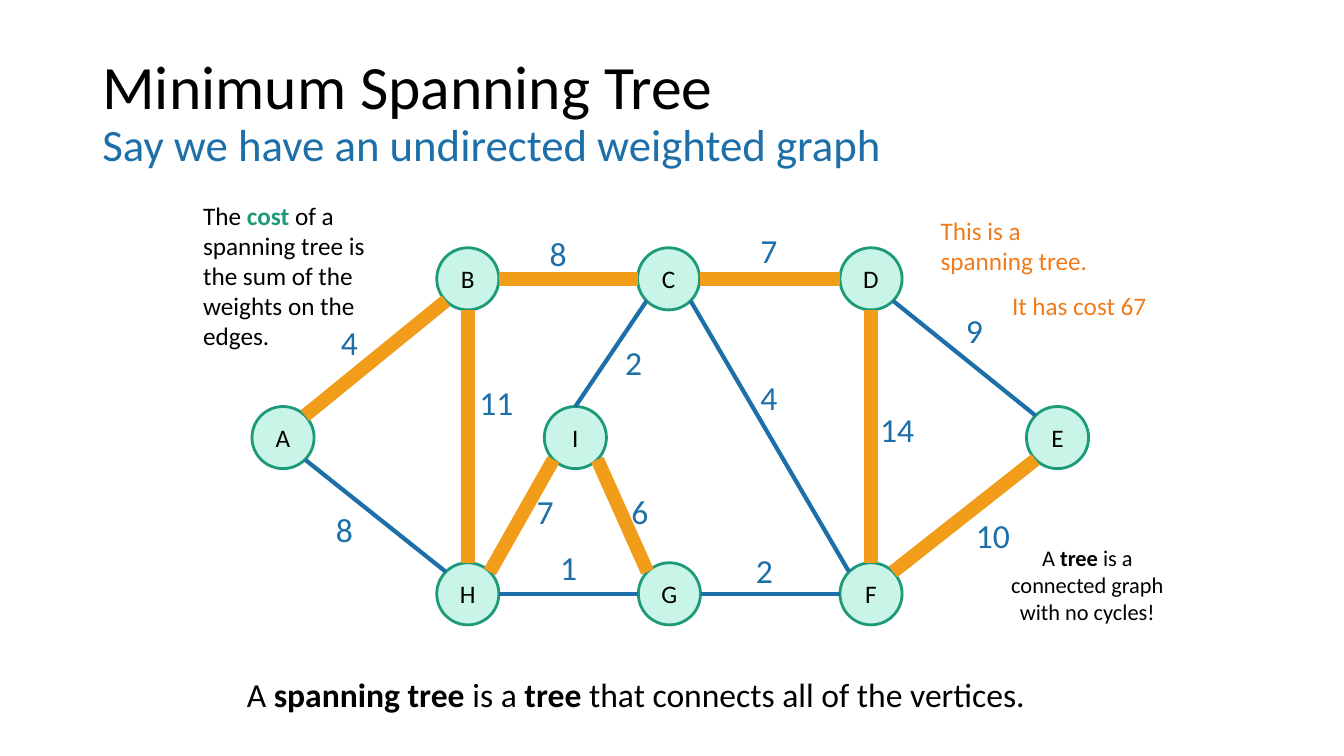
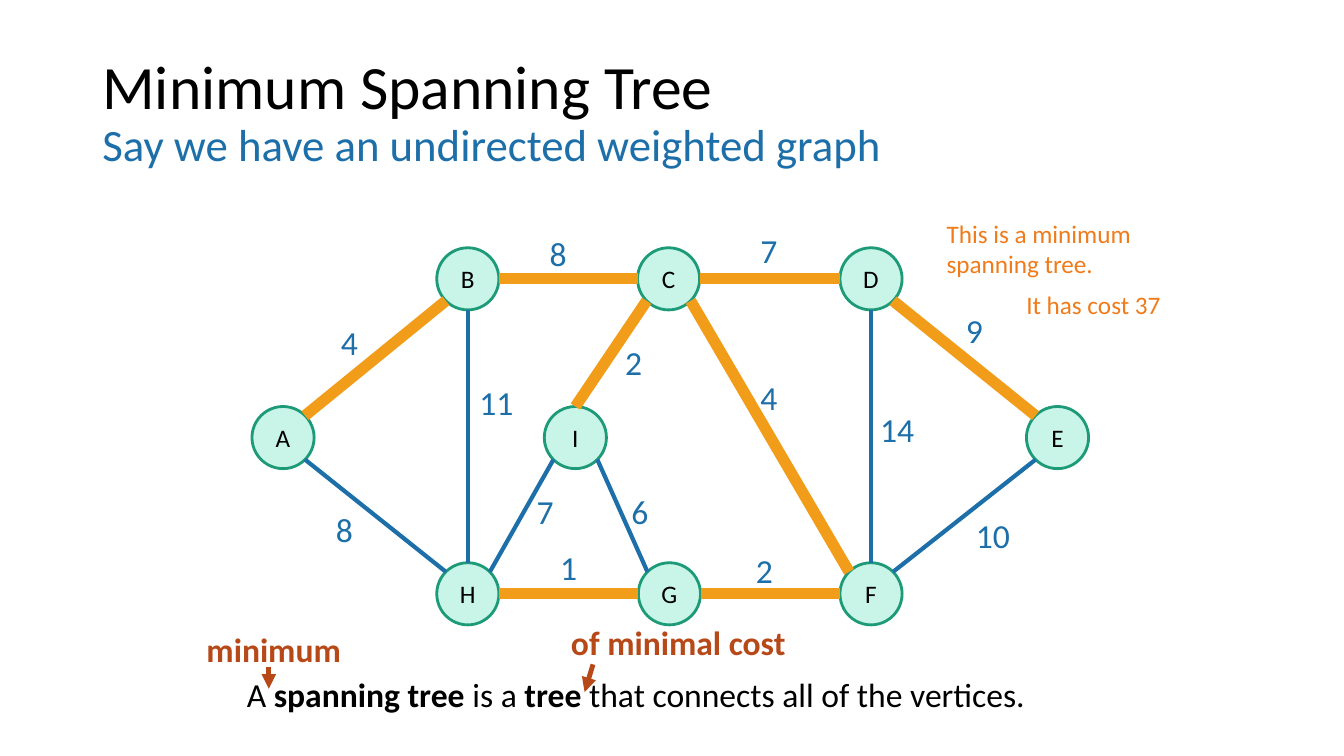
from math import cos, radians, sin

from lxml import etree
from pptx import Presentation
from pptx.dml.color import RGBColor
from pptx.enum.shapes import MSO_CONNECTOR, MSO_SHAPE
from pptx.enum.text import MSO_ANCHOR, MSO_AUTO_SIZE, PP_ALIGN
from pptx.oxml.ns import qn
from pptx.util import Inches, Pt

STRAIGHT, OVAL = MSO_CONNECTOR.STRAIGHT, MSO_SHAPE.OVAL
MIDDLE, TOP = MSO_ANCHOR.MIDDLE, MSO_ANCHOR.TOP
LEFT, CENTER = PP_ALIGN.LEFT, PP_ALIGN.CENTER
FIT_SHAPE = MSO_AUTO_SIZE.SHAPE_TO_FIT_TEXT

FONT = "Calibri"
BLACK, BLUE, ORANGE = "000000", "1D6FA9", "F07B1A"
GREEN, MINT, AMBER, RUST = "1D9A78", "C8F5E8", "F19D19", "B74919"

# All lengths are in cells of a 16 x 9 grid.
COLUMNS, ROWS = 16, 9
CELL = 13.333 / COLUMNS

RADIUS = 0.37
UPPER, MID, LOWER = 3.32, 5.21, 7.07
NODES = {
    "D": (10.37, UPPER), "C": (7.96, UPPER), "B": (5.57, UPPER),
    "A": (3.37, MID), "H": (5.57, LOWER), "G": (7.97, LOWER),
    "F": (10.37, LOWER), "I": (6.85, MID), "E": (12.59, MID),
}
# Sites of an oval, anticlockwise from the top.
N, NW, W, SW, S, SE, E, NE = range(8)
# Edge: (site at first node, site at second node, weight, label offset from middle)
EDGES = {
    "CF": (SE, NW, 4, (-0.23, -0.77)),
    "CD": (E, W, 7, (-0.23, -0.64)),
    "ED": (NW, SE, 9, (-0.1, -0.64)),
    "EF": (SW, NE, 10, (0.02, -0.07)),
    "DF": (S, N, 14, (-0.01, -0.38)),
    "IG": (SE, NW, 6, (-0.01, -0.36)),
    "GF": (E, W, 2, (-0.29, -0.58)),
    "IC": (N, SW, 2, (-0.08, -0.25)),
    "BC": (E, W, 8, (-0.34, -0.61)),
    "AB": (NE, SW, 4, (-0.53, -0.49)),
    "AH": (SE, NW, 8, (-0.59, -0.14)),
    "GH": (W, E, 1, (-0.22, -0.62)),
    "IH": (SW, NE, 7, (0.06, -0.35)),
    "HB": (N, S, 11, (0.02, -0.71)),
}


def cells(*values):
    return [Inches(v * CELL) for v in values]


def rgb(color):
    return RGBColor.from_string(color)


def style(font, size, color, bold=False):
    font.name, font.size, font.bold = FONT, Pt(size), bold
    font.color.rgb = rgb(color)


def add_text(slide, box, text, size, color=BLACK, align=LEFT, bold_color=None):
    """Add a text box; words between asterisks are bold."""
    tf = slide.shapes.add_textbox(*cells(*box)).text_frame
    tf.word_wrap, tf.auto_size = True, FIT_SHAPE
    tf.vertical_anchor = TOP
    p = tf.paragraphs[0]
    p.alignment = align
    for i, part in enumerate(text.split("*")):
        if part:
            bold = i % 2 == 1
            r = p.add_run()
            r.text = part
            style(r.font, size, bold_color if bold and bold_color else color, bold)


def add_title(slide, title, subtitle):
    tf = slide.shapes.add_textbox(*cells(1.1, 0.48, 13.8, 1.74)).text_frame
    tf.word_wrap, tf.vertical_anchor = True, MIDDLE
    p = tf.paragraphs[0]
    p.text = f"{title}\v{subtitle}"
    p.line_spacing = 0.9
    for r, size, color in zip(p.runs, (44, 32), (BLACK, BLUE)):
        style(r.font, size, color)


def add_line(slide, start, end, color, width):
    line = slide.shapes.add_connector(STRAIGHT, *cells(*start, *end))
    line.line.color.rgb, line.line.width = rgb(color), Pt(width)
    etree.SubElement(line._element.spPr, qn("a:effectLst"))
    return line


def add_arrow(slide, start, end):
    arrow = add_line(slide, start, end, RUST, 3.5)
    etree.SubElement(arrow.line._get_or_add_ln(), qn("a:tailEnd"), type="triangle")


def add_node(slide, name):
    x, y = NODES[name]
    sp = slide.shapes.add_shape(
        OVAL, *cells(x - RADIUS, y - RADIUS, 2 * RADIUS, 2 * RADIUS))
    sp.shadow.inherit = False
    sp.fill.solid()
    sp.fill.fore_color.rgb = rgb(MINT)
    sp.line.color.rgb, sp.line.width = rgb(GREEN), Pt(2)
    tf = sp.text_frame
    tf.text, tf.vertical_anchor = name, MIDDLE
    p = tf.paragraphs[0]
    p.alignment = CENTER
    style(p.runs[0].font, 18, BLACK)
    return sp


def site_point(name, site):
    x, y = NODES[name]
    angle = radians(90 + 45 * site)
    return x + RADIUS * cos(angle), y - RADIUS * sin(angle)


def add_edge(slide, ovals, edge, color, width):
    """Draw an edge glued to its two nodes, which python-pptx offers only for four sites."""
    sites = EDGES[edge][:2]
    start, end = map(site_point, edge, sites)
    line = add_line(slide, start, end, color, width)
    glue = line._element.find(".//" + qn("p:cNvCxnSpPr"))
    for tag, name, site in zip(("a:stCxn", "a:endCxn"), edge, sites):
        etree.SubElement(glue, qn(tag), id=str(ovals[name].shape_id), idx=str(site))


def add_weight(slide, edge):
    (x1, y1), (x2, y2) = (NODES[name] for name in edge)
    weight, (dx, dy) = EDGES[edge][2:]
    box = ((x1 + x2) / 2 + dx, (y1 + y2) / 2 + dy, 1.03, 0.6)
    add_text(slide, box, str(weight), 24, BLUE)


def add_graph_slide(prs, tree, tree_width):
    """Add a slide with the title, the graph with its tree edges marked, and the definition."""
    slide = prs.slides.add_slide(prs.slide_layouts[6])
    add_title(slide, "Minimum Spanning Tree",
              "Say we have an undirected weighted graph")
    ovals = {name: add_node(slide, name) for name in NODES}
    for edge in EDGES:
        color, width = (AMBER, tree_width) if edge in tree else (BLUE, 3)
        add_edge(slide, ovals, edge, color, width)
    for edge in EDGES:
        add_weight(slide, edge)
    add_text(slide, (2.82, 7.96, 10.6, 0.6),
             "A *spanning tree *is a *tree* that connects all of the vertices.", 24)
    return slide


def add_spanning_tree(prs):
    slide = add_graph_slide(
        prs, {"AB", "BC", "CD", "DF", "EF", "HB", "IH", "IG"}, 9.75)
    add_text(slide, (11.77, 6.42, 2.35, 1.09),
             "A *tree *is a connected graph with no cycles!", 16, align=CENTER)
    add_text(slide, (11.08, 2.5, 2.35, 0.85), "This is a spanning tree.", 18, ORANGE)
    add_text(slide, (2.3, 2.32, 2.53, 1.94),
             "The *cost *of a spanning tree is the sum of the weights on the edges.",
             18, bold_color=GREEN)
    add_text(slide, (11.93, 3.4, 2, 0.48), "It has cost 67", 18, ORANGE)


def add_minimum_tree(prs):
    slide = add_graph_slide(
        prs, {"AB", "BC", "CD", "ED", "CF", "IC", "GF", "GH"}, 8)
    add_text(slide, (11.15, 2.54, 2.65, 0.85),
             "This is a minimum spanning tree.", 18, ORANGE)
    add_text(slide, (12.1, 3.38, 2.35, 0.48), "It has cost 37", 18, ORANGE)
    add_text(slide, (2.34, 7.43, 2.88, 0.6), "*minimum*", 24, RUST)
    add_text(slide, (6.68, 7.34, 2.88, 0.6), "*of minimal cost*", 24, RUST)
    add_arrow(slide, (3.2, 7.94), (3.2, 8.2))
    add_arrow(slide, (7.06, 7.91), (6.96, 8.24))


def main():
    prs = Presentation()
    prs.slide_width, prs.slide_height = cells(COLUMNS, ROWS)
    add_spanning_tree(prs)
    add_minimum_tree(prs)
    prs.save("out.pptx")


if __name__ == "__main__":
    main()
